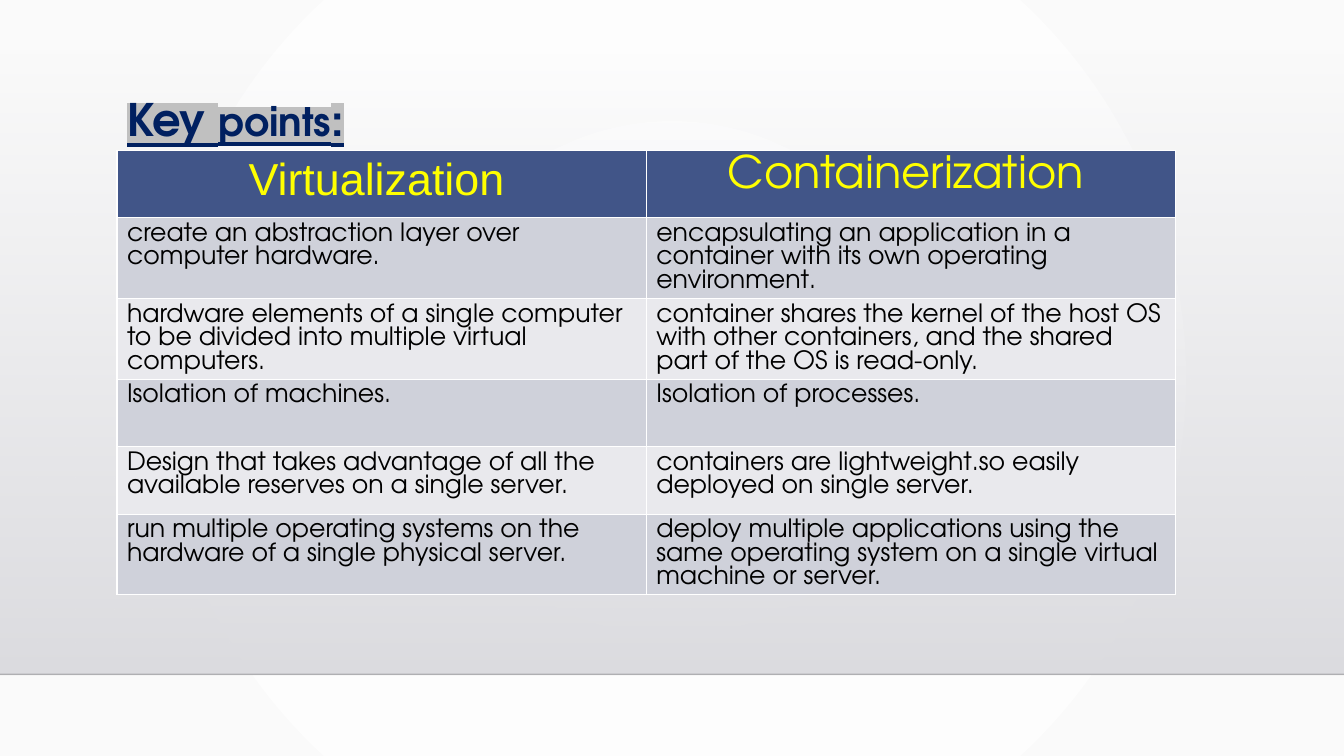
from pptx import Presentation
from pptx.dml.color import RGBColor
from pptx.enum.shapes import MSO_CONNECTOR, MSO_SHAPE
from pptx.enum.text import MSO_ANCHOR, MSO_AUTO_SIZE, PP_ALIGN
from pptx.oxml import parse_xml
from pptx.oxml.ns import nsdecls, qn
from pptx.util import Inches, Pt
from lxml import etree

RECTANGLE = MSO_SHAPE.RECTANGLE
STRAIGHT = MSO_CONNECTOR.STRAIGHT
BOTTOM = MSO_ANCHOR.BOTTOM
NO_AUTOFIT = MSO_AUTO_SIZE.NONE
LEFT, CENTER = PP_ALIGN.LEFT, PP_ALIGN.CENTER
FONT = "TeX Gyre Adventor"


def color(value):
    return RGBColor.from_string(value)


def set_gradient(fill, stops, direction):
    fill.gradient()
    gradient = fill._fill._gradFill
    for child in list(gradient):
        gradient.remove(child)
    stop_xml = "".join(
        f'<a:gs pos="{position}"><a:srgbClr val="{value}"><a:alpha val="{alpha}"/></a:srgbClr></a:gs>'
        for position, value, alpha in stops
    )
    for child in parse_xml(f'<a:gradFill {nsdecls("a")}><a:gsLst>{stop_xml}</a:gsLst>{direction}</a:gradFill>'):
        gradient.append(child)


presentation = Presentation()
presentation.slide_width = Inches(13.33)
presentation.slide_height = Inches(7.5)
width = presentation.slide_width
slide = presentation.slides.add_slide(presentation.slide_layouts[5])
shapes = slide.shapes

circle = '<a:path path="circle"><a:fillToRect l="50000" t="50000" r="50000" b="50000"/></a:path>'
set_gradient(slide.background.fill, [(0, "FFFFFF", 100000), (100000, "FAFAFA", 100000)], circle)

panel_top, floor = Inches(0.51), Inches(6.69)
panel = shapes.add_shape(RECTANGLE, 0, panel_top, width, floor - panel_top)
panel.shadow.inherit = False
panel.line.fill.background()
set_gradient(panel.fill, [(0, "DCDCE0", 0), (100000, "DEDEE2", 100000)], '<a:lin ang="5400000" scaled="0"/>')

floor_line = shapes.add_connector(STRAIGHT, 0, floor, width, floor)
floor_line.line.width = Pt(1)
floor_line.line.color.rgb = color("000001")
line_color = next(floor_line._element.iter(qn("a:srgbClr")))
etree.SubElement(line_color, qn("a:alpha")).set("val", "20000")
etree.SubElement(floor_line._element.spPr, qn("a:effectLst"))

left, table_top = Inches(1.16), Inches(1.49)
column_width, row_height = Inches(5.25), Inches(0.67)

title = shapes.title
shapes._spTree.append(title._element)
title.left, title.top, title.width, title.height = left, Inches(0.91), 2 * column_width, Inches(0.59)
title.text_frame.auto_size = NO_AUTOFIT
title.text_frame.vertical_anchor = BOTTOM
paragraph = title.text_frame.paragraphs[0]
paragraph.alignment = LEFT
paragraph.line_spacing = 0.9
for text, size in [("Key ", 32), ("points", 28), (":", 32)]:
    run = paragraph.add_run()
    run.text = text
    run.font.size = Pt(size)
    run.font.name = FONT
    run.font.bold = True
    run.font.underline = True
    run.font.color.rgb = color("002060")
    highlight = parse_xml(f'<a:highlight {nsdecls("a")}><a:srgbClr val="C0C0C0"/></a:highlight>')
    run.font._element.find(qn("a:solidFill")).addnext(highlight)

rows = [
    ("Virtualization", "Containerization"),
    ("create an abstraction layer over computer hardware.",
     "encapsulating an application in a container with its own operating environment."),
    ("hardware elements of a single computer to be divided into multiple virtual computers.",
     "container shares the kernel of the host OS with other containers, and the shared part of the OS is read-only."),
    ("Isolation of machines.", "Isolation of processes."),
    ("Design that takes advantage of all the available reserves on a single server.",
     "containers are lightweight.so easily deployed on single server."),
    ("run multiple operating systems on the hardware of a single physical server.",
     "deploy multiple applications using the same operating system on a single virtual machine or server."),
]
table = shapes.add_table(
    len(rows), 2, left, table_top, 2 * column_width, len(rows) * row_height
).table
for row_index, row in enumerate(rows):
    is_header = row_index == 0
    row_fill = "415588" if is_header else ("E9E9ED", "CFD1DA")[row_index % 2]
    for column_index, text in enumerate(row):
        cell = table.cell(row_index, column_index)
        cell.text = text
        cell.fill.solid()
        cell.fill.fore_color.rgb = color(row_fill)
        paragraph = cell.text_frame.paragraphs[0]
        paragraph.alignment = CENTER if is_header else LEFT
        paragraph.font.name = "Arial" if is_header and column_index == 0 else FONT
        paragraph.font.size = Pt(32 if is_header else 18)
        paragraph.font.bold = False
        paragraph.font.color.rgb = color("FFFF00" if is_header else "000000")
        if is_header:
            cell.margin_right = Inches(0.2)

presentation.save("out.pptx")
